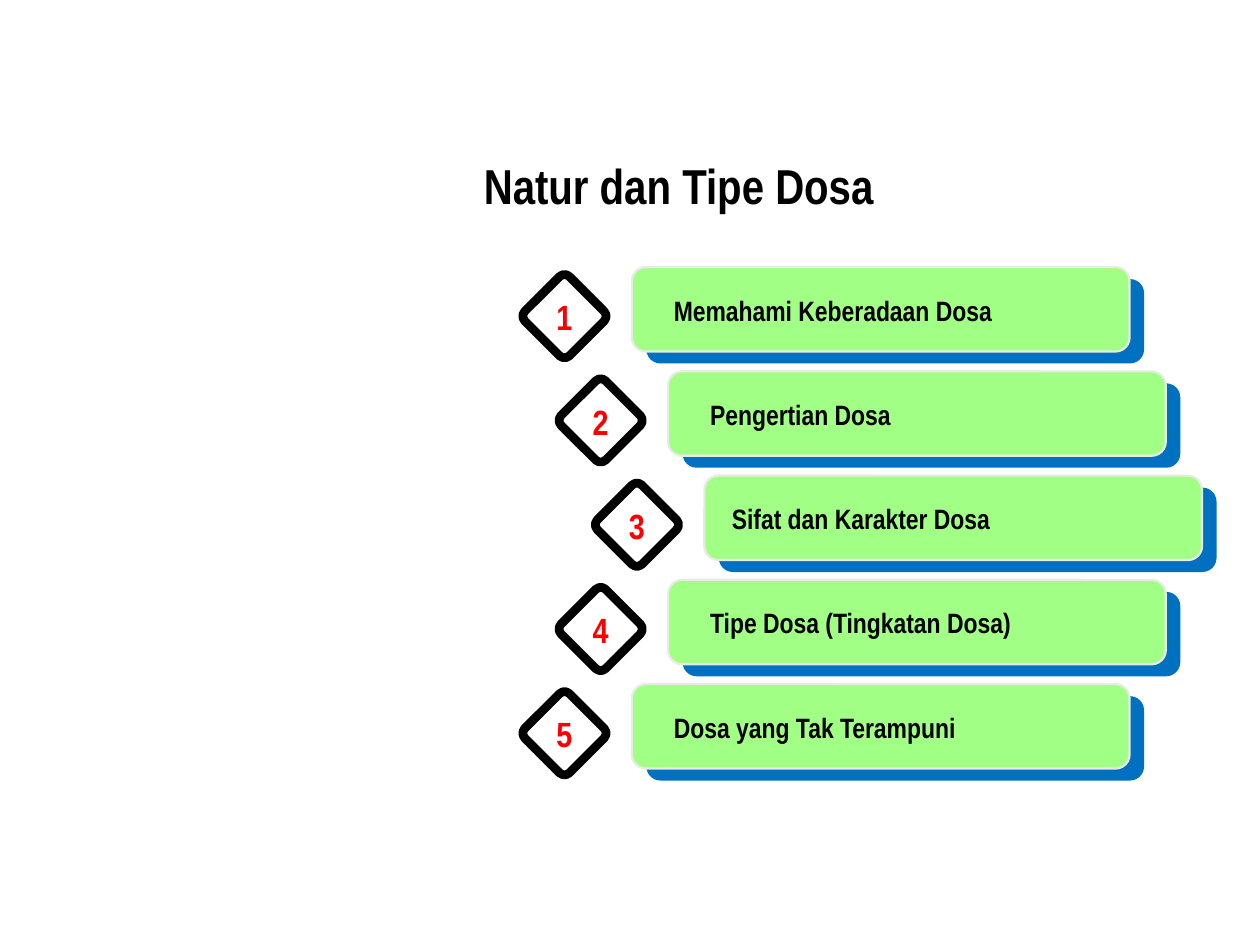
from pptx import Presentation
from pptx.dml.color import RGBColor
from pptx.enum.shapes import MSO_SHAPE
from pptx.enum.text import MSO_ANCHOR, MSO_AUTO_SIZE, PP_ALIGN
from pptx.util import Inches, Pt

BLACK = RGBColor(0x00, 0x00, 0x00)
WHITE = RGBColor(0xFF, 0xFF, 0xFF)
RED = RGBColor(0xFF, 0x00, 0x00)
BLUE = RGBColor(0x00, 0x70, 0xC0)
GREEN = RGBColor(0xA2, 0xFF, 0x85)
PALE_EDGE = RGBColor(0xE9, 0xEA, 0xE4)

# Fine grid laid over the slide
COLUMNS, ROWS = 1000, 750
INDENT_STEP, TOPIC_STEP = 28.75, 82.75

# Topic text, indent level, label offset from its bar
TOPICS = [
    ("Memahami Keberadaan Dosa", 0, 23.5),
    ("Pengertian Dosa", 1, 23.5),
    ("Sifat dan Karakter Dosa", 2, 12),
    ("Tipe Dosa (Tingkatan Dosa)", 1, 23.5),
    ("Dosa yang Tak Terampuni", 0, 23.5),
]


class AgendaSlide:
    """Holds the text style and the slide being built."""

    font_name = "Arial Narrow"

    def __init__(self, deck):
        self.column = deck.slide_width / COLUMNS
        self.row = deck.slide_height / ROWS
        self.slide = deck.slides.add_slide(deck.slide_layouts[5])

    def box(self, left, top, width, height):
        return (round(left * self.column), round(top * self.row),
                round(width * self.column), round(height * self.row))

    def set_text(self, holder, text, size, color, align, fit):
        frame = holder.text_frame
        frame.text = text
        frame_format = {"word_wrap": True, "auto_size": fit,
                        "vertical_anchor": MSO_ANCHOR.MIDDLE}
        for name, value in frame_format.items():
            setattr(frame, name, value)
        paragraph = frame.paragraphs[0]
        paragraph.alignment = align
        font_format = {"name": self.font_name, "size": Pt(size), "bold": True}
        for name, value in font_format.items():
            setattr(paragraph.font, name, value)
        paragraph.font.color.rgb = color

    def title(self, text, *place):
        heading = self.slide.shapes.title
        heading.left, heading.top, heading.width, heading.height = self.box(*place)
        self.set_text(heading, text, 28, BLACK, PP_ALIGN.LEFT, MSO_AUTO_SIZE.NONE)

    def rounded(self, group, place, fill, edge=None, edge_width=0):
        panel = group.shapes.add_shape(MSO_SHAPE.ROUNDED_RECTANGLE, *self.box(*place))
        panel.shadow.inherit = False
        panel.fill.solid()
        panel.fill.fore_color.rgb = fill
        if edge is None:
            panel.line.fill.background()
        else:
            panel.line.color.rgb = edge
            panel.line.width = Pt(edge_width)
        return panel

    def label(self, group, place, text, size, color, align=PP_ALIGN.LEFT):
        caption = group.shapes.add_textbox(*self.box(*place))
        self.set_text(caption, text, size, color, align,
                      MSO_AUTO_SIZE.SHAPE_TO_FIT_TEXT)

    def topic(self, number, text, left, top, label_offset):
        group = self.slide.shapes.add_group_shape()
        # Bar with its offset backing
        self.rounded(group, (left + 11.5, top + 9.5, 395, 67), BLUE)
        self.rounded(group, (left, top, 395, 67), GREEN, PALE_EDGE, 1.25)
        self.label(group, (left + label_offset, top + 15.5, 331, 37), text, 16, BLACK)
        # Numbered diamond
        diamond = self.rounded(group, (left - 78.5, top + 14, 50, 50), WHITE, BLACK, 5)
        diamond.adjustments[0] = 0.11
        diamond.rotation = 45
        self.label(group, (left - 70, top + 17.5, 33, 44), str(number), 20, RED,
                   PP_ALIGN.CENTER)


def main():
    deck = Presentation()
    deck.slide_width, deck.slide_height = Inches(10), Inches(7.5)
    agenda = AgendaSlide(deck)

    # Heading
    agenda.title("Natur dan Tipe Dosa", 374, 115, 626, 63)

    # Staggered topics
    for index, (text, indent, label_offset) in enumerate(TOPICS):
        agenda.topic(index + 1, text, 501.5 + indent * INDENT_STEP,
                     212 + index * TOPIC_STEP, label_offset)

    deck.save("out.pptx")


if __name__ == "__main__":
    main()
